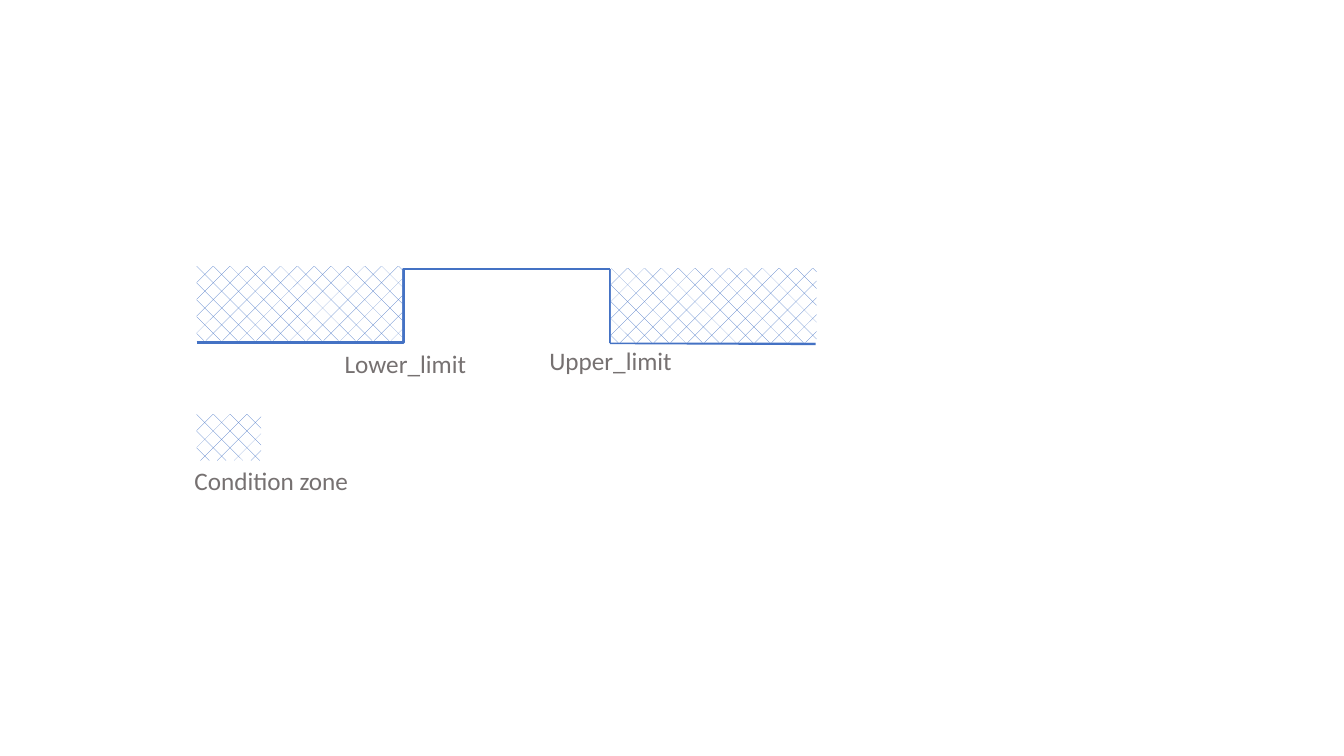
"""Build a slide showing a limit window between two hatched condition zones."""
from lxml.etree import SubElement
from pptx import Presentation
from pptx.dml.color import RGBColor
from pptx.enum.dml import MSO_PATTERN as Pattern
from pptx.enum.shapes import MSO_CONNECTOR as Link, MSO_SHAPE as Shape
from pptx.enum.text import MSO_AUTO_SIZE as AutoSize
from pptx.oxml.ns import qn
from pptx.util import Inches, Pt

BLUE, GREY, WHITE = "4472C4", "767171", "FFFFFF"
LEFT, UPPER, RIGHT = 1.95, 6.05, 8.09
TOP, BASE = 2.67, 3.4


def color(value):
    return RGBColor.from_string(value)


def add_label(page, text, left, top, width, size=18, font="Calibri", fill=GREY):
    box = page.shapes.add_textbox(Inches(left), Inches(top), Inches(width), Inches(0.4))
    frame = box.text_frame
    frame.word_wrap = False
    frame.auto_size = AutoSize.SHAPE_TO_FIT_TEXT
    span = frame.paragraphs[0].add_run()
    span.text = text
    span.font.size = Pt(size)
    span.font.name = font
    span.font.color.rgb = color(fill)


deck = Presentation()
deck.slide_width, deck.slide_height = Inches(13.33), Inches(7.5)
page = deck.slides.add_slide(deck.slide_layouts[6])

signal = [
    (Link.ELBOW, LEFT, BASE, UPPER, TOP),
    (Link.STRAIGHT, UPPER, BASE, RIGHT, BASE + 0.01),
    (Link.STRAIGHT, UPPER, TOP, UPPER, BASE),
]
for kind, *ends in signal:
    line = page.shapes.add_connector(kind, *[Inches(end) for end in ends])
    line.line.color.rgb = color(BLUE)
    line.line.width = Pt(2)
    SubElement(line._element.spPr, qn("a:effectLst"))

zones = [
    (LEFT, 2.64, 2.04, 0.74),
    (6.06, 2.66, 2.04, 0.74),
    (LEFT, 4.11, 0.64, 0.46),
]
for bounds in zones:
    zone = page.shapes.add_shape(Shape.RECTANGLE, *[Inches(length) for length in bounds])
    zone.shadow.inherit = False
    zone.fill.patterned()
    zone.fill.pattern = Pattern.DOTTED_DIAMOND
    zone.fill.fore_color.rgb = color(BLUE)
    zone.fill.back_color.rgb = color(WHITE)
    zone.line.fill.background()

add_label(page, "Lower_limit", left=3.32, top=3.41, width=1.42)
add_label(page, "Upper_limit", left=5.35, top=3.38, width=1.43)
add_label(page, "Condition zone", left=1.83, top=4.57, width=1.75)

deck.save("out.pptx")
